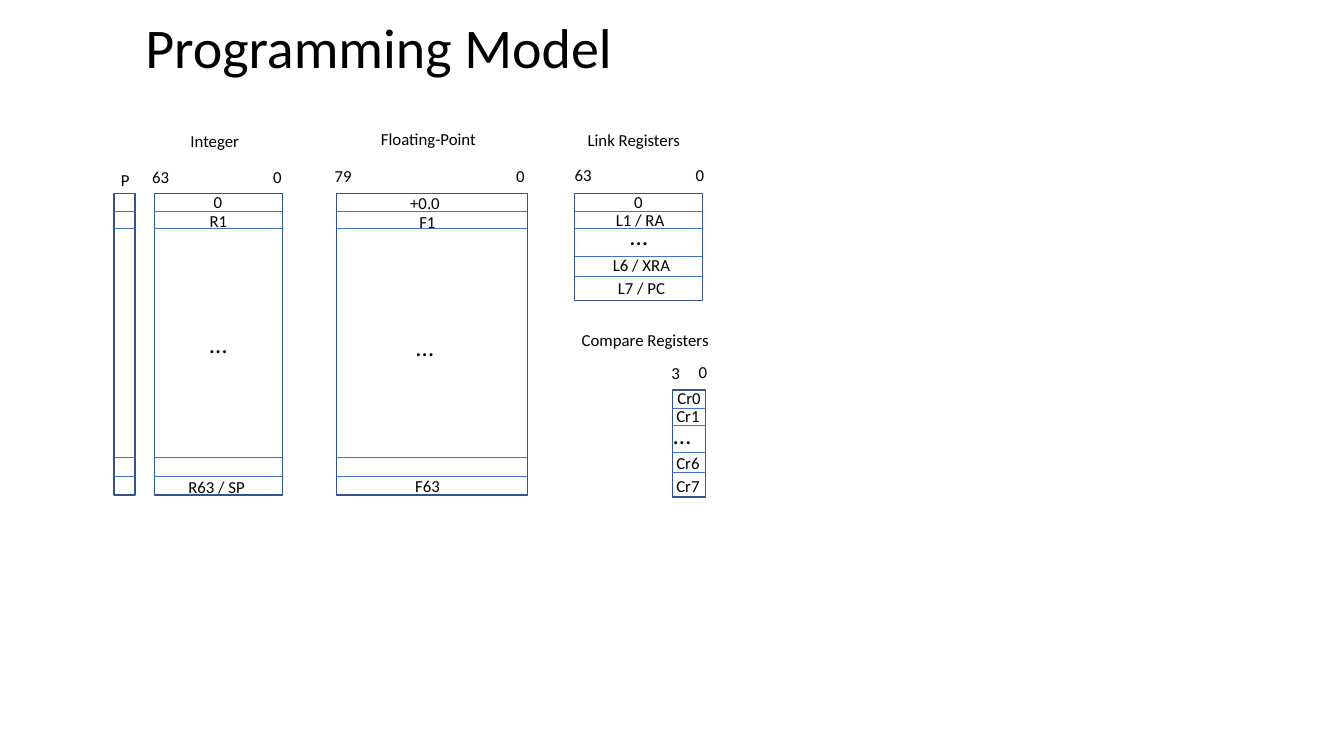
from pptx import Presentation
from pptx.util import Inches, Pt
from pptx.dml.color import RGBColor
from pptx.enum.shapes import MSO_SHAPE, MSO_CONNECTOR
from pptx.enum.text import PP_ALIGN, MSO_ANCHOR, MSO_AUTO_SIZE
from pptx.oxml.ns import qn
from lxml.etree import SubElement

TALL = (0.18, 0.35, 2.62, 2.81)
SHORT = (0.18, 0.35, 0.62, 0.82)


def paint(target, code):
    """Set a colour format from a hex string."""
    target.rgb = RGBColor.from_string(code)


def style(frame, size):
    """Format all runs of a text frame."""
    for para in frame.paragraphs:
        for run in para.runs:
            run.font.name = "Calibri"
            run.font.size = Pt(size)
            paint(run.font.color, "000000")


def head(slide, text, left, top, width, height):
    """Place the title and drop the unused subtitle."""
    title, sub = slide.placeholders
    sub.element.getparent().remove(sub.element)
    title.left, title.top = Inches(left), Inches(top)
    title.width, title.height = Inches(width), Inches(height)
    frame = title.text_frame
    frame.text = text
    frame.vertical_anchor = MSO_ANCHOR.BOTTOM
    frame.paragraphs[0].alignment = PP_ALIGN.CENTER
    frame.paragraphs[0].line_spacing = 0.9
    style(frame, 40)


def label(slide, text, left, top, width):
    """Add a one-line label; an ellipsis is set larger."""
    size, height = (18, 0.4) if text == "…" else (12, 0.3)
    box = slide.shapes.add_textbox(
        Inches(left), Inches(top), Inches(width), Inches(height))
    frame = box.text_frame
    frame.text = text
    frame.word_wrap = False
    frame.auto_size = MSO_AUTO_SIZE.SHAPE_TO_FIT_TEXT
    style(frame, size)


def rule(slide, left, top, width):
    """Draw a thin row divider."""
    line = slide.shapes.add_connector(
        MSO_CONNECTOR.STRAIGHT, Inches(left), Inches(top),
        Inches(left + width), Inches(top))
    paint(line.line.color, "4472C4")
    line.line.width = Pt(0.5)
    SubElement(line.element.spPr, qn("a:effectLst"))


def bank(slide, left, top, width, height, rows, labels):
    """Draw a register bank with labels offset from its corner."""
    frame = slide.shapes.add_shape(
        MSO_SHAPE.RECTANGLE, Inches(left), Inches(top),
        Inches(width), Inches(height))
    frame.shadow.inherit = False
    frame.fill.background()
    paint(frame.line.color, "325491")
    frame.line.width = Pt(1)
    for row in rows:
        rule(slide, left, top + row, width)
    for text, right, down, span in labels:
        label(slide, text, left + right, top + down, span)


def main():
    """Build the slide and save it."""
    deck = Presentation()
    deck.slide_width, deck.slide_height = Inches(13.33), Inches(7.5)
    slide = deck.slides.add_slide(deck.slide_layouts[0])
    head(slide, "Programming Model", 0.08, 0.08, 7.35, 0.77)
    bank(slide, 1.53, 1.92, 1.27, 2.99, TALL, [
        ("Integer", 0.26, -0.67, 0.69), ("63", -0.12, -0.31, 0.37),
        ("0", 1.08, -0.31, 0.29), ("0", 0.49, -0.07, 0.29),
        ("R1", 0.45, 0.12, 0.38), ("…", 0.45, 1.29, 0.38),
        ("R63 / SP", 0.24, 2.76, 0.77)])
    bank(slide, 1.13, 1.92, 0.21, 2.99, TALL, [("P", -0.03, -0.29, 0.29)])
    bank(slide, 3.34, 1.92, 1.89, 2.99, TALL, [
        ("Floating-Point", 0.34, -0.69, 1.15), ("79", -0.12, -0.32, 0.37),
        ("0", 1.68, -0.32, 0.29), ("+0.0", 0.63, -0.06, 0.5),
        ("F1", 0.72, 0.13, 0.38), ("…", 0.69, 1.32, 0.38),
        ("F63", 0.68, 2.75, 0.46)])
    bank(slide, 5.7, 1.92, 1.27, 1.06, SHORT, [
        ("Link Registers", 0.03, -0.68, 1.13), ("63", -0.1, -0.33, 0.37),
        ("0", 1.1, -0.33, 0.29), ("0", 0.49, -0.07, 0.29),
        ("L1 / RA", 0.31, 0.11, 0.69), ("…", 0.45, 0.22, 0.38),
        ("L6 / XRA", 0.28, 0.56, 0.78), ("L7 / PC", 0.33, 0.79, 0.68)])
    bank(slide, 6.67, 3.87, 0.33, 1.06, SHORT, [
        ("Compare Registers", -1, -0.65, 1.48), ("3", -0.11, -0.32, 0.29),
        ("0", 0.16, -0.33, 0.29), ("Cr0", -0.05, -0.07, 0.44),
        ("Cr1", -0.06, 0.11, 0.44), ("…", -0.09, 0.24, 0.38),
        ("Cr6", -0.06, 0.57, 0.44), ("Cr7", -0.06, 0.8, 0.44)])
    deck.save("out.pptx")


main()
